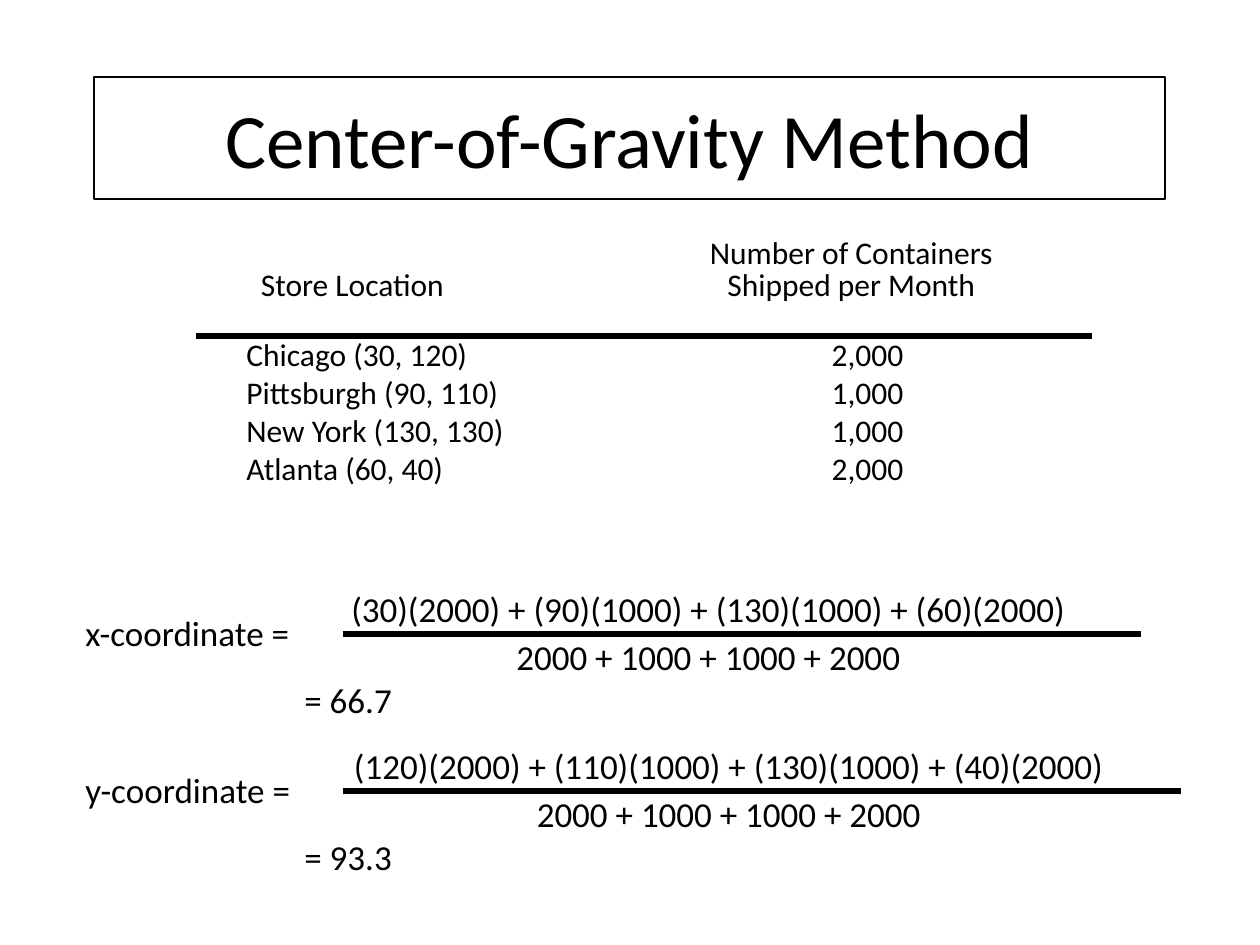
"""Build the Center-of-Gravity Method slide with its store data and two worked equations."""
from dataclasses import dataclass
from lxml import etree
from pptx import Presentation
from pptx import util as u
from pptx.dml.color import RGBColor
from pptx.enum import shapes, text
from pptx.oxml.ns import qn


@dataclass(frozen=True)
class Theme:
    ink: RGBColor = RGBColor(0, 0, 0)
    paper: RGBColor = RGBColor(255, 255, 255)
    font: str = "Calibri"
    title: int = 44
    body: int = 18
    equation: int = 20
    border: float = 0.75
    rule: int = 3


THEME = Theme()
PX = 914400 / 126
SIZE = (1260, 945)

TITLE = "Center-of-Gravity Method"
HEADER = [("", "Number of Containers"), ("Store Location", "Shipped per Month")]
STORES = [
    ("Chicago (30, 120)", "2,000"),
    ("Pittsburgh (90, 110)", "1,000"),
    ("New York (130, 130)", "1,000"),
    ("Atlanta (60, 40)", "2,000"),
]
TOTAL = "2000 + 1000 + 1000 + 2000"
EQUATIONS = [
    dict(name="x-coordinate =", sum="(30)(2000) + (90)(1000) + (130)(1000) + (60)(2000)",
         result="= 66.7", left=335, width=747, rule_end=1141),
    dict(name="y-coordinate =", sum="(120)(2000) + (110)(1000) + (130)(1000) + (40)(2000)",
         result="= 93.3", left=338, width=782, rule_end=1181),
]
EQUATION_TOP, EQUATION_PITCH = 575, 157

HEADER_TABS = [(171, "ctr"), (670, "ctr")]
STORE_TABS = [(40, "l"), (697, "r")]


def px(n):
    return u.Emu(round(n * PX))


def put_text(sp, lines, size=THEME.body, align=text.PP_ALIGN.LEFT, spacing=None, tabs=(),
             wrap=False, anchor=text.MSO_ANCHOR.TOP, fit=text.MSO_AUTO_SIZE.SHAPE_TO_FIT_TEXT):
    tf = sp.text_frame
    tf.word_wrap, tf.auto_size, tf.vertical_anchor = wrap, fit, anchor
    for i, line in enumerate(lines):
        p = tf.add_paragraph() if i else tf.paragraphs[0]
        p.alignment = align
        if spacing:
            p.line_spacing = spacing
        if tabs:
            stops = etree.SubElement(p._p.get_or_add_pPr(), qn("a:tabLst"))
            for pos, algn in tabs:
                etree.SubElement(stops, qn("a:tab"), pos=str(px(pos)), algn=algn)
        r = p.add_run()
        r.text = line
        r.font.name, r.font.size = THEME.font, u.Pt(size)
        r.font.color.rgb = THEME.ink


def add_text(s, box, lines, **fmt):
    put_text(s.shapes.add_textbox(*map(px, box)), lines, **fmt)


def add_rule(s, x1, x2, y):
    line = s.shapes.add_connector(shapes.MSO_CONNECTOR.STRAIGHT, px(x1), px(y), px(x2), px(y))
    line.line.color.rgb = THEME.ink
    line.line.width = u.Pt(THEME.rule)
    etree.SubElement(line._element.spPr, qn("a:effectLst"))


def add_title(s):
    sp = s.shapes.add_shape(shapes.MSO_SHAPE.RECTANGLE, *map(px, (94, 77, 1071, 122)))
    sp.shadow.inherit = False
    sp.fill.background()
    sp.line.color.rgb = THEME.ink
    sp.line.width = u.Pt(THEME.border)
    put_text(sp, [TITLE], size=THEME.title, align=text.PP_ALIGN.CENTER, wrap=True,
             anchor=text.MSO_ANCHOR.MIDDLE, fit=text.MSO_AUTO_SIZE.NONE)


def tabbed(rows):
    return ["\t" + "\t".join(row) for row in rows]


def add_stores(s):
    add_text(s, (169, 233, 845, 78), tabbed(HEADER), spacing=0.85, tabs=HEADER_TABS)
    add_text(s, (194, 329, 834, 165), tabbed(STORES), tabs=STORE_TABS, wrap=True)
    add_rule(s, 196, 1092, 336)


def add_equation(s, eq, top):
    size = THEME.equation
    add_text(s, (73, top + 30, 232, 55), [eq["name"]], size=size)
    add_text(s, (eq["left"], top, eq["width"], 111), [eq["sum"], TOTAL], size=size,
             align=text.PP_ALIGN.CENTER, spacing=1.15)
    add_rule(s, 343, eq["rule_end"], top + 59)
    add_text(s, (292, top + 97, 113, 55), [eq["result"]], size=size)


def main():
    prs = Presentation()
    prs.slide_width, prs.slide_height = map(px, SIZE)
    s = prs.slides.add_slide(prs.slide_layouts[6])
    s.background.fill.solid()
    s.background.fill.fore_color.rgb = THEME.paper
    add_title(s)
    add_stores(s)
    for i, eq in enumerate(EQUATIONS):
        add_equation(s, eq, EQUATION_TOP + i * EQUATION_PITCH)
    prs.save("out.pptx")


if __name__ == "__main__":
    main()
